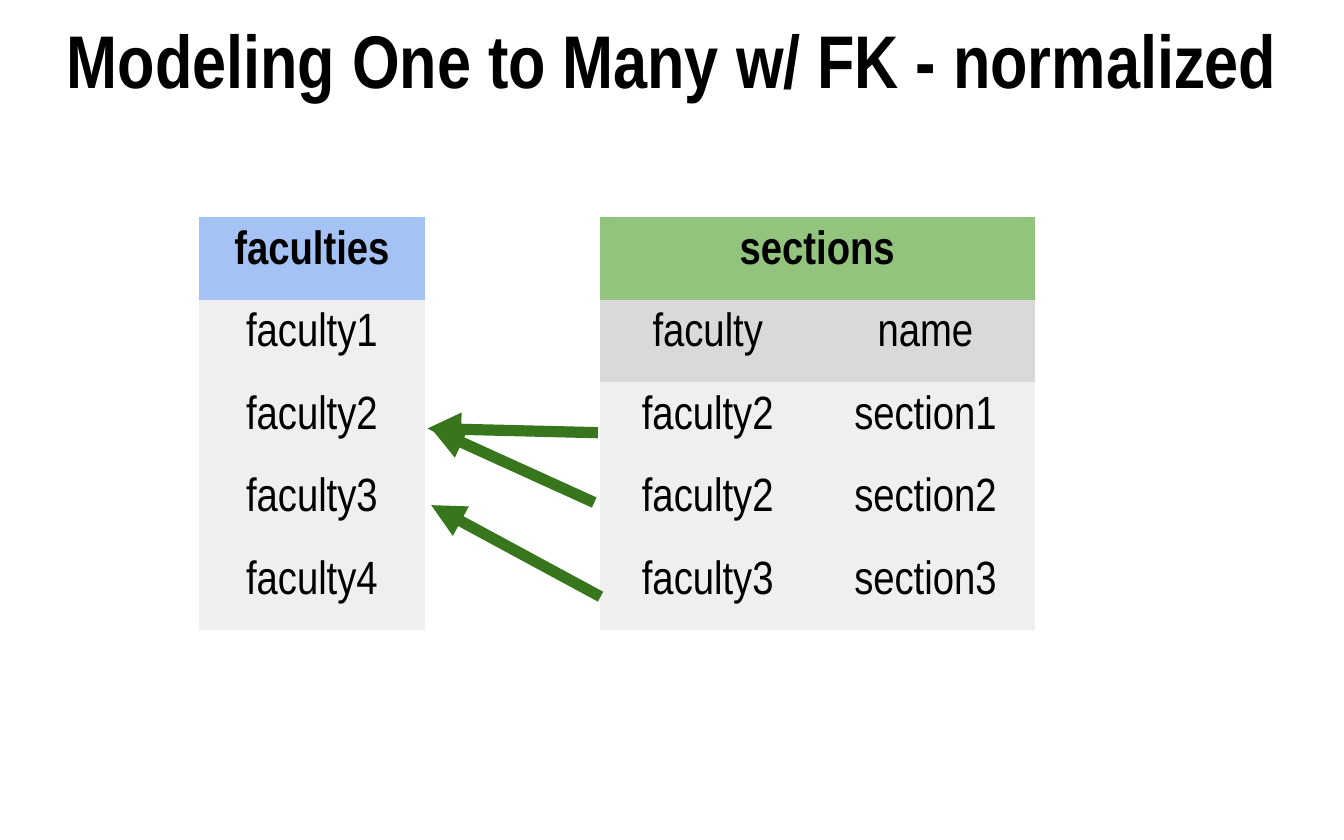
from lxml.etree import SubElement
from pptx import Presentation
from pptx.dml.color import RGBColor
from pptx.enum.shapes import MSO_CONNECTOR
from pptx.enum.text import MSO_ANCHOR, PP_ALIGN
from pptx.oxml.ns import qn
from pptx.util import Cm, Pt

BLACK = RGBColor(0x00, 0x00, 0x00)
BLUE = RGBColor(0xA4, 0xC2, 0xF4)
GREEN = RGBColor(0x93, 0xC4, 0x7D)
DARK_GREEN = RGBColor(0x38, 0x76, 0x1D)
GRAY = RGBColor(0xD9, 0xD9, 0xD9)
LIGHT_GRAY = RGBColor(0xEF, 0xEF, 0xEF)


class SlideBuilder:
    font_name = "Arial Narrow"
    title_size = Pt(40)
    cell_size = Pt(25)
    inset = Cm(0.25)
    row_height = Cm(1.3)
    arrow_width = Pt(6)

    def __init__(self, slide):
        self.slide = slide

    def set_insets(self, target):
        target.margin_left = target.margin_right = self.inset
        target.margin_top = target.margin_bottom = self.inset

    def add_text(self, text_frame, text, size, bold):
        paragraph = text_frame.paragraphs[0]
        paragraph.alignment = PP_ALIGN.CENTER
        run = paragraph.add_run()
        run.text = text
        run.font.name = self.font_name
        run.font.size = size
        run.font.bold = bold
        run.font.color.rgb = BLACK

    def title(self, text, width, height):
        shape = self.slide.shapes.add_textbox(0, 0, width, height)
        text_frame = shape.text_frame
        text_frame.word_wrap = True
        text_frame.vertical_anchor = MSO_ANCHOR.BOTTOM
        self.set_insets(text_frame)
        self.add_text(text_frame, text, self.title_size, True)

    def cell(self, cell, text, color, bold):
        self.set_insets(cell)
        properties = cell._tc.get_or_add_tcPr()
        for side in ("a:lnL", "a:lnR", "a:lnT", "a:lnB"):
            SubElement(SubElement(properties, qn(side)), qn("a:noFill"))
        cell.fill.solid()
        cell.fill.fore_color.rgb = color
        if text:
            self.add_text(cell.text_frame, text, self.cell_size, bold)

    def table(self, left, top, column_widths, heading, rows, row_colors):
        """Draw a table whose bold heading spans all columns."""
        columns = len(column_widths)
        all_rows = [[heading] + [""] * (columns - 1)] + rows
        table = self.slide.shapes.add_table(
            len(all_rows), columns, left, top,
            sum(column_widths), self.row_height * len(all_rows)).table
        for column, width in zip(table.columns, column_widths):
            column.width = width
        for i, (texts, color) in enumerate(zip(all_rows, row_colors)):
            table.rows[i].height = self.row_height
            for j, text in enumerate(texts):
                self.cell(table.cell(i, j), text, color, bold=i == 0)
        if columns > 1:
            table.cell(0, 0).merge(table.cell(0, columns - 1))

    def arrow(self, start, end):
        connector = self.slide.shapes.add_connector(
            MSO_CONNECTOR.STRAIGHT, *start, *end)
        connector.line.color.rgb = DARK_GREEN
        connector.line.width = self.arrow_width
        line = connector.line._get_or_add_ln()
        SubElement(line, qn("a:tailEnd"), type="triangle")
        SubElement(connector._element.spPr, qn("a:effectLst"))


def main():
    presentation = Presentation()
    presentation.slide_width = Cm(25.4)
    presentation.slide_height = Cm(15.88)
    blank_layout = presentation.slide_layouts[6]
    builder = SlideBuilder(presentation.slides.add_slide(blank_layout))

    builder.title("Modeling One to Many w/ FK - normalized", Cm(25.4), Cm(2.21))

    table_top = Cm(4.11)
    faculties = [[f"faculty{number}"] for number in range(1, 5)]
    builder.table(Cm(3.76), table_top, [Cm(4.27)], "faculties", faculties,
                  [BLUE] + [LIGHT_GRAY] * 4)
    sections = [["faculty", "name"], ["faculty2", "section1"],
                ["faculty2", "section2"], ["faculty3", "section3"]]
    builder.table(Cm(11.33), table_top, [Cm(4.09), Cm(4.14)], "sections", sections,
                  [GREEN, GRAY] + [LIGHT_GRAY] * 3)

    builder.arrow((Cm(11.3), Cm(8.18)), (Cm(8.08), Cm(8.1)))
    builder.arrow((Cm(11.35), Cm(11.28)), (Cm(8.15), Cm(9.55)))
    builder.arrow((Cm(11.23), Cm(9.5)), (Cm(8.15), Cm(8.1)))

    presentation.save("out.pptx")


if __name__ == "__main__":
    main()
